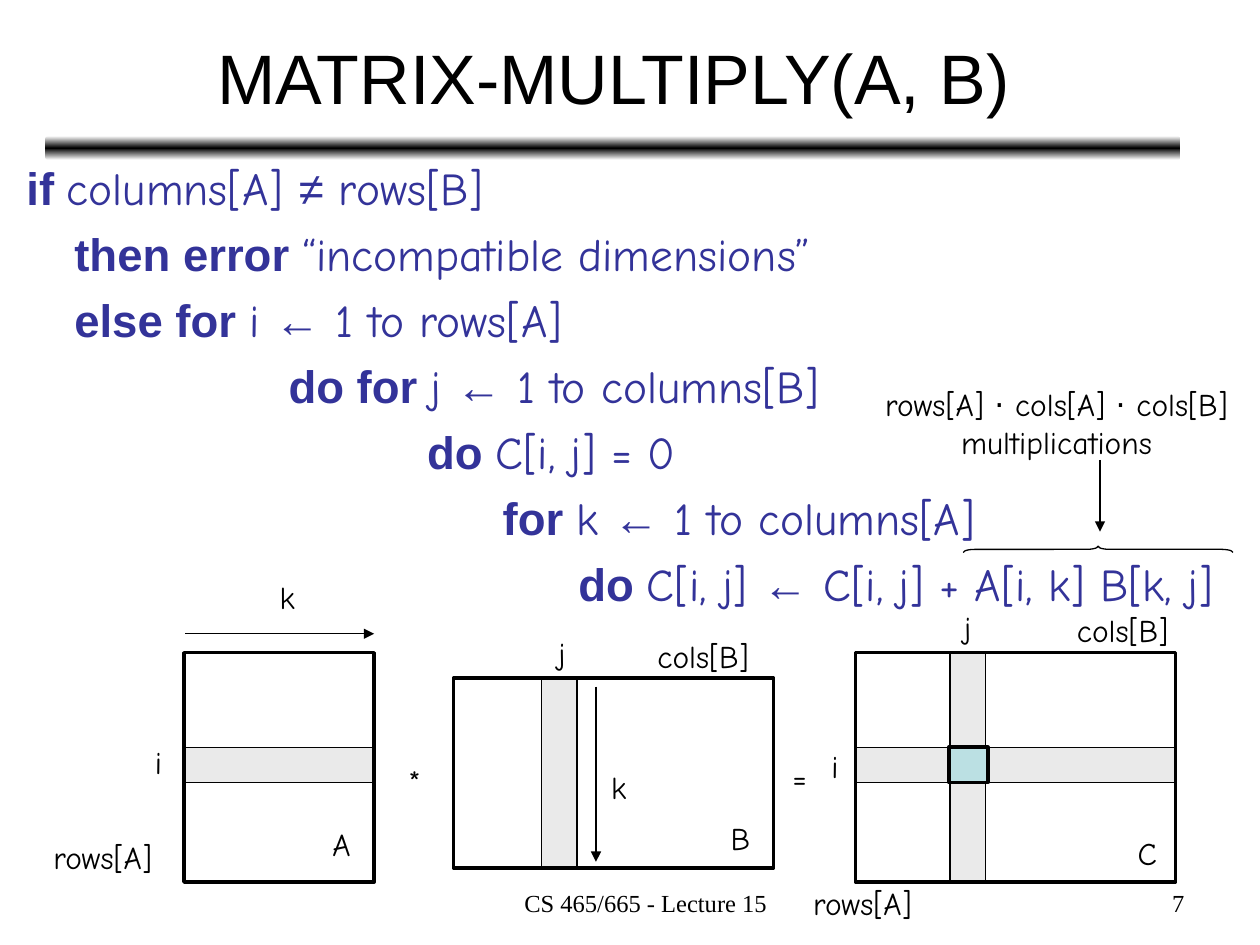
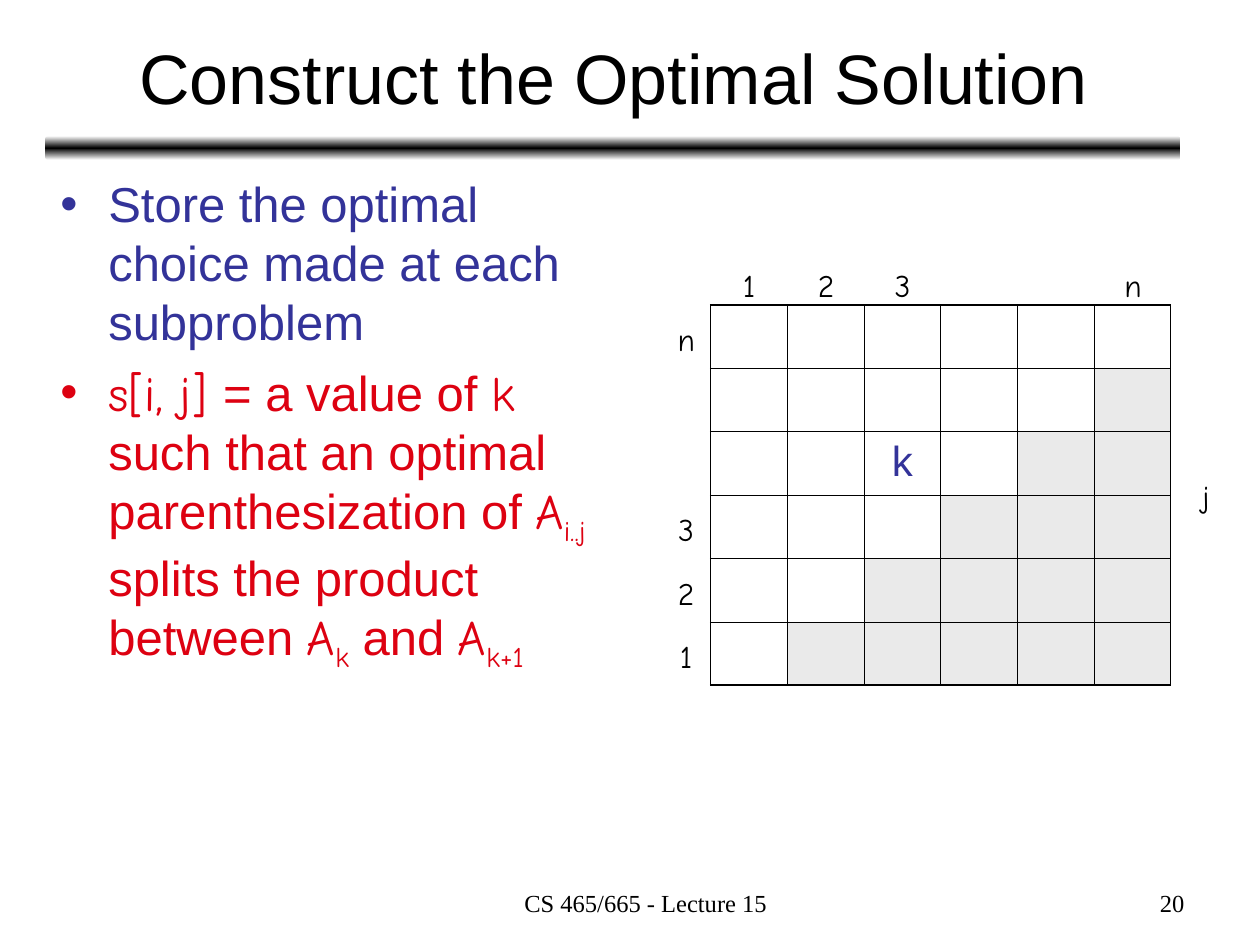
from copy import deepcopy

from pptx import Presentation
from pptx.dml.color import RGBColor
from pptx.enum.shapes import MSO_CONNECTOR as CONN, MSO_SHAPE as SHAPE
from pptx.enum.text import MSO_ANCHOR as ANCHOR, MSO_AUTO_SIZE as AUTO, PP_ALIGN as ALIGN
from pptx.oxml.ns import qn
from pptx.util import Inches, Pt
from lxml.etree import SubElement

COLORS = {"black": "000000", "white": "FFFFFF", "blue": "333399",
          "red": "DD0111", "gray": "EAEAEA", "teal": "BBE0E3"}
SANS, HAND, SERIF = "Arial", "Comic Neue", "Times New Roman"
FOOTER = "CS 465/665 - Lecture 15"


def rgb(name):
    return RGBColor.from_string(COLORS[name])


def place(shape, left, top, width, height):
    shape.left, shape.top = Inches(left), Inches(top)
    shape.width, shape.height = Inches(width), Inches(height)


def style(font, size, color="black", name=HAND, bold=False):
    font.size, font.name, font.bold = Pt(size), name, bold
    font.color.rgb = rgb(color)


def add_runs(p, parts, size, color):
    """Write (text, kind) parts: bold, hand, sans or sub."""
    for text, kind in parts:
        r = p.add_run()
        r.text = text
        name = HAND if kind in ("hand", "sub") else SANS
        style(r.font, size, color, name, kind == "bold")
        if kind == "sub":
            r.font._element.set("baseline", "-25000")


def set_indent(p, left, first=0.0, bullet=None):
    pPr = p._p.get_or_add_pPr()
    pPr.set("marL", str(Inches(left)))
    pPr.set("indent", str(Inches(first)))
    if bullet:
        clr = SubElement(pPr, qn("a:buClr"))
        SubElement(clr, qn("a:srgbClr")).set("val", COLORS[bullet])
        SubElement(pPr, qn("a:buFont")).set("typeface", SANS)
        SubElement(pPr, qn("a:buChar")).set("char", "•")
    else:
        SubElement(pPr, qn("a:buNone"))


def add_text(s, text, left, top, width, height=0.4, size=18, name=HAND,
             align=ALIGN.CENTER, wrap=False):
    box = s.shapes.add_textbox(*map(Inches, (left, top, width, height)))
    tf = box.text_frame
    tf.text = text
    tf.word_wrap = wrap
    tf.auto_size = AUTO.NONE if wrap else AUTO.SHAPE_TO_FIT_TEXT
    for p in tf.paragraphs:
        p.alignment = align
        for r in p.runs:
            style(r.font, size, name=name)
    return box


def add_box(s, left, top, width, height, fill=None, weight=0.75, kind=SHAPE.RECTANGLE):
    sp = s.shapes.add_shape(kind, *map(Inches, (left, top, width, height)))
    sp.shadow.inherit = False
    if fill:
        sp.fill.solid()
        sp.fill.fore_color.rgb = rgb(fill)
    else:
        sp.fill.background()
    sp.line.color.rgb = rgb("black")
    sp.line.width = Pt(weight)
    return sp


def add_arrow(s, x1, y1, x2, y2):
    line = s.shapes.add_connector(CONN.STRAIGHT, *map(Inches, (x1, y1, x2, y2)))
    line.line.color.rgb = rgb("black")
    line.line.width = Pt(0.75)
    spPr = line._element.spPr
    SubElement(line.line._get_or_add_ln(), qn("a:tailEnd")).set("type", "triangle")
    SubElement(spPr, qn("a:effectLst"))


def add_rule(s):
    """Gradient band under the title."""
    rule = add_box(s, 0.36, 1.08, 9.01, 0.19, kind=SHAPE.ROUNDED_RECTANGLE)
    rule.line.fill.background()
    rule.fill.gradient()
    rule.fill.gradient_angle = 90
    first = rule.fill._xPr.find(".//" + qn("a:gs"))
    first.addnext(deepcopy(first))
    for stop, pos, color in zip(rule.fill.gradient_stops, (0, 0.5, 1),
                                ("white", "black", "white")):
        stop.position = pos
        stop.color.rgb = rgb(color)


def new_slide(prs, title, number):
    s = prs.slides.add_slide(prs.slide_layouts[1])
    add_rule(s)
    place(s.shapes.title, 0.37, 0.11, 9, 0.99)
    tf = s.shapes.title.text_frame
    tf.text = title
    tf.auto_size = AUTO.NONE
    tf.vertical_anchor = ANCHOR.MIDDLE
    tf.paragraphs[0].alignment = ALIGN.CENTER
    style(tf.paragraphs[0].runs[0].font, 40, name=SANS)
    # Footer and slide number
    for text, left, width, align in ((FOOTER, 3.42, 3.17, ALIGN.CENTER),
                                     (str(number), 7.17, 2.33, ALIGN.RIGHT)):
        box = add_text(s, text, left, 7, width, 0.35, 14, SERIF, align, True)
        set_indent(box.text_frame.paragraphs[0], 0.24)
    return s


def body_paragraphs(s, at, count, space):
    """Prepare the body placeholder and return its paragraphs."""
    body = s.placeholders[1]
    place(body, *at)
    tf = body.text_frame
    tf.auto_size = AUTO.NONE
    for _ in range(count - 1):
        tf.add_paragraph()
    for i, p in enumerate(tf.paragraphs):
        p.space_before = Pt(space if i else 0)
    return tf.paragraphs


def add_pseudocode(s):
    lines = [
        (0, [("if ", "bold"), ("columns[A] ", "hand"), ("≠", "sans"), (" rows[B]", "hand")]),
        (0.38, [("then error ", "bold"), ("“incompatible dimensions”", "hand")]),
        (0.38, [("else for ", "bold"), ("i ", "hand"), ("←", "sans"), (" 1 to rows[A]", "hand")]),
        (2.08, [("do for ", "bold"), ("j ", "hand"), ("←", "sans"),
                (" 1 to columns[B]", "hand")]),
        (3.18, [("do ", "bold"), ("C[i, j] = 0", "hand")]),
        (3.78, [("for ", "bold"), ("k ", "hand"), ("←", "sans"), (" 1 to columns[A]", "hand")]),
        (4.38, [("do ", "bold"), ("C[i, j] ", "hand"), ("←", "sans"),
                (" C[i, j] + A[i, k] B[k, j]", "hand")]),
    ]
    paragraphs = body_paragraphs(s, (0.11, 1.22, 9.89, 5.55), len(lines), 6.5)
    for p, (indent, parts) in zip(paragraphs, lines):
        set_indent(p, indent)
        add_runs(p, parts, 26, "blue")


def add_matrices(s):
    # Highlighted rows and columns, then the frames above them
    for strip in ((6.79, 5.93, 2.53, 0.28), (4.3, 5.39, 0.28, 1.49),
                  (7.54, 5.18, 0.28, 1.81), (1.46, 5.93, 1.51, 0.28)):
        add_box(s, *strip, fill="gray")
    for frame in ((1.46, 5.18, 1.51, 1.82), (3.6, 5.38, 2.54, 1.51),
                  (6.79, 5.18, 2.54, 1.82)):
        add_box(s, *frame, weight=2)
    add_box(s, 7.53, 5.93, 0.31, 0.28, "teal", 2)
    # Dimensions, indices, names and operators
    for label in (("rows[A]", 0.3, 6.6, 1.03), ("rows[A]", 6.33, 6.97, 1.03),
                  ("cols[B]", 5.08, 5.01, 1), ("cols[B]", 8.41, 4.8, 1),
                  ("i", 1.13, 5.85, 0.25), ("i", 6.5, 5.88, 0.25),
                  ("j", 4.33, 4.98, 0.26), ("j", 7.55, 4.78, 0.26),
                  ("k", 2.12, 4.54, 0.32), ("k", 4.75, 6.05, 0.32),
                  ("A", 2.54, 6.5, 0.34), ("B", 5.7, 6.45, 0.35),
                  ("C", 8.93, 6.57, 0.35), ("*", 3.14, 6, 0.3), ("=", 6.19, 5.97, 0.31)):
        add_text(s, *label)
    add_arrow(s, 1.47, 5.03, 2.97, 5.03)
    add_arrow(s, 4.73, 5.45, 4.73, 6.84)


def add_cost_note(s):
    note = add_text(s, "", 6.86, 3.01, 3.05, 0.7)
    first = note.text_frame.paragraphs[0]
    add_runs(first, [("rows[A] ", "hand"), ("⋅", "sans"), (" cols[A] ", "hand"),
                     ("⋅", "sans"), (" cols[B]", "hand")], 18, "black")
    second = note.text_frame.add_paragraph()
    second.alignment = ALIGN.CENTER
    add_runs(second, [("multiplications", "hand")], 18, "black")
    brace = add_box(s, 8.69, 3.29, 0.05, 2.14, kind=SHAPE.LEFT_BRACE)
    brace.adjustments[0] = 1.8
    brace.rotation = 90
    add_arrow(s, 8.73, 3.65, 8.73, 4.22)


def add_bullets(s):
    items = [
        ("blue", [("Store the optimal choice made at each subproblem", "sans")]),
        ("red", [("s[i, j] ", "hand"), ("= a value of ", "sans"), ("k", "hand"),
                 (" such that an optimal parenthesization of ", "sans"),
                 ("A", "hand"), ("i..j", "sub"),
                 (" splits the product between ", "sans"), ("A", "hand"), ("k", "sub"),
                 (" and ", "sans"), ("A", "hand"), ("k+1", "sub")]),
    ]
    paragraphs = body_paragraphs(s, (0.38, 1.33, 4.55, 5.55), len(items), 7)
    for p, (color, parts) in zip(paragraphs, items):
        set_indent(p, 0.38, -0.38, color)
        add_runs(p, parts, 28, color)


def set_borders(cell, widths):
    tcPr = cell._tc.get_or_add_tcPr()
    for side, width in zip("LRTB", widths):
        ln = SubElement(tcPr, qn("a:ln" + side))
        ln.set("w", str(Pt(width)))
        fill = SubElement(ln, qn("a:solidFill"))
        SubElement(fill, qn("a:srgbClr")).set("val", COLORS["black"])


def add_split_table(s):
    n, left, top, width, height = 6, 5.64, 2.42, 3.65, 3.02
    col_w, row_h = width / n, height / n
    table = s.shapes.add_table(n, n, *map(Inches, (left, top, width, height))).table
    table.first_row = table.horz_banding = False
    for i in range(n):
        table.columns[i].width = Inches(col_w)
        table.rows[i].height = Inches(row_h)
        for j in range(n):
            cell = table.cell(i, j)
            outer = (j == 0, j == n - 1, i == 0, i == n - 1)
            set_borders(cell, [1.08 if edge else 0.45 for edge in outer])
            if i + j >= n:  # below the diagonal
                cell.fill.solid()
                cell.fill.fore_color.rgb = rgb("gray")
            else:
                cell.fill.background()
    p = table.cell(2, 2).text_frame.paragraphs[0]
    p.text = "k"
    p.alignment = ALIGN.CENTER
    style(p.runs[0].font, 24, "blue", SANS)
    # Index labels: columns left to right, rows bottom to top
    for text, index in (("1", 0), ("2", 1), ("3", 2), ("n", n - 1)):
        add_text(s, text, left + (index + 0.5) * col_w - 0.16, 2.06, 0.32)
        add_text(s, text, 5.28, top + (n - index - 0.5) * row_h - 0.18, 0.33)
    add_text(s, "j", 9.44, 3.74, 0.26)


def main():
    prs = Presentation()
    prs.slide_width, prs.slide_height = Inches(10), Inches(7.5)

    s = new_slide(prs, "MATRIX-MULTIPLY(A, B)", 7)
    add_pseudocode(s)
    add_matrices(s)
    add_cost_note(s)

    s = new_slide(prs, "Construct the Optimal Solution", 20)
    add_bullets(s)
    add_split_table(s)

    prs.save("out.pptx")


if __name__ == "__main__":
    main()
